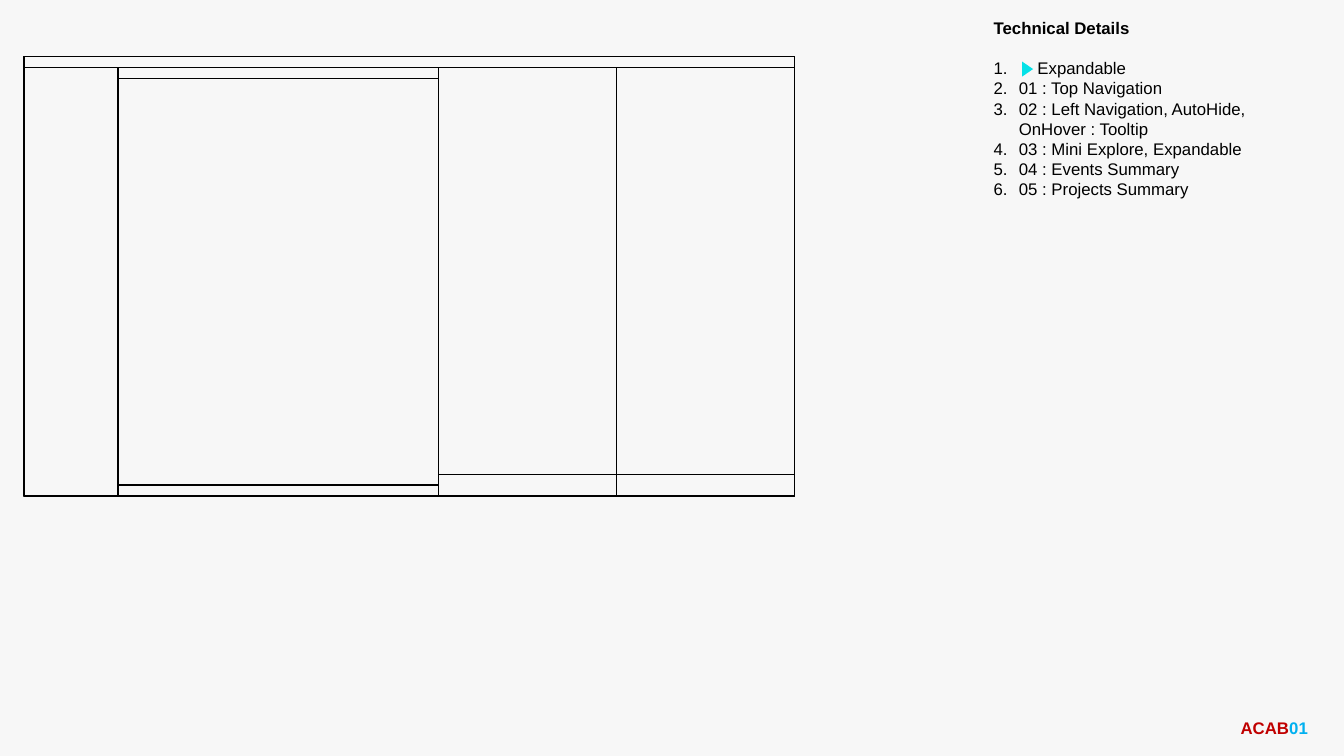
from dataclasses import dataclass

import pptx
import pptx.dml.color
import pptx.enum.shapes
import pptx.enum.text
import pptx.oxml.ns
import pptx.util
from lxml import etree

Pt = pptx.util.Pt
Shapes = pptx.enum.shapes.MSO_SHAPE

FRAME_LEFT, FRAME_TOP, FRAME_BOTTOM = 17.3, 40.3, 354.2
BAR_HEIGHT = 7.8
FOOTER_HEIGHT = 15.2
LIST_INDENT = 18
MARKED_INDENT = 31.3  # leaves room for the expand marker

BLACK = "000000"


@dataclass
class Box:
    left: float
    top: float
    width: float
    height: float


@dataclass
class Panel:
    """A column of the wireframe with optional bars at its ends."""
    width: float
    header: float = 0
    footer: float = 0


@dataclass
class Detail:
    text: str
    indent: float = LIST_INDENT
    space_before: float = 0


PANELS = [
    Panel(66.9),
    Panel(229, header=BAR_HEIGHT, footer=BAR_HEIGHT),
    Panel(127.1, footer=FOOTER_HEIGHT),
    Panel(127.1, footer=FOOTER_HEIGHT),
]

DETAILS = [
    Detail("Expandable", MARKED_INDENT, space_before=14),
    Detail("01 : Top Navigation"),
    Detail("02 : Left Navigation, AutoHide, OnHover : Tooltip"),
    Detail("03 : Mini Explore, Expandable"),
    Detail("04 : Events Summary"),
    Detail("05 : Projects Summary"),
]


def color(value: str) -> pptx.dml.color.RGBColor:
    return pptx.dml.color.RGBColor.from_string(value)


def add_outline(slide, box: Box) -> None:
    shape = slide.shapes.add_shape(
        Shapes.RECTANGLE, Pt(box.left), Pt(box.top), Pt(box.width), Pt(box.height))
    shape.shadow.inherit = False
    shape.fill.background()
    shape.line.color.rgb = color(BLACK)
    shape.line.width = Pt(1)


def add_wireframe(slide) -> None:
    width = sum(panel.width for panel in PANELS)
    panel_top = FRAME_TOP + BAR_HEIGHT
    panel_height = FRAME_BOTTOM - panel_top
    add_outline(slide, Box(FRAME_LEFT, FRAME_TOP, width, FRAME_BOTTOM - FRAME_TOP))
    add_outline(slide, Box(FRAME_LEFT, FRAME_TOP, width, BAR_HEIGHT))
    left = FRAME_LEFT
    for panel in PANELS:
        add_outline(slide, Box(left, panel_top, panel.width, panel_height))
        if panel.header:
            add_outline(slide, Box(left, panel_top, panel.width, panel.header))
        if panel.footer:
            add_outline(slide, Box(left, FRAME_BOTTOM - panel.footer,
                                   panel.width, panel.footer))
        left += panel.width


def add_text_frame(slide, box: Box):
    text_box = slide.shapes.add_textbox(
        Pt(box.left), Pt(box.top), Pt(box.width), Pt(box.height))
    text_frame = text_box.text_frame
    text_frame.word_wrap = True
    text_frame.auto_size = pptx.enum.text.MSO_AUTO_SIZE.SHAPE_TO_FIT_TEXT
    return text_frame


def set_font(paragraph, bold: bool) -> None:
    paragraph.font.name = "Arial"
    paragraph.font.size = Pt(12)
    paragraph.font.bold = bold
    paragraph.font.color.rgb = color(BLACK)


def number(paragraph, indent: float) -> None:
    """Number the paragraph automatically, with a hanging indent."""
    properties = paragraph._p.get_or_add_pPr()
    properties.set("marL", str(Pt(indent)))
    properties.set("indent", str(-Pt(indent)))
    numbering = etree.Element(pptx.oxml.ns.qn("a:buAutoNum"), type="arabicPeriod")
    properties.find(pptx.oxml.ns.qn("a:defRPr")).addprevious(numbering)


def add_details(slide) -> None:
    text_frame = add_text_frame(slide, Box(702.7, 9.4, 249.8, 138.2))
    heading = text_frame.paragraphs[0]
    heading.text = "Technical Details"
    set_font(heading, bold=True)
    for detail in DETAILS:
        paragraph = text_frame.add_paragraph()
        paragraph.text = detail.text
        paragraph.space_before = Pt(detail.space_before)
        set_font(paragraph, bold=False)
        number(paragraph, detail.indent)


def add_expand_marker(slide) -> None:
    marker = slide.shapes.add_shape(
        Shapes.ISOSCELES_TRIANGLE, Pt(728.6), Pt(45.4), Pt(10.8), Pt(7.9))
    marker.rotation = 90
    marker.shadow.inherit = False
    marker.fill.solid()
    marker.fill.fore_color.rgb = color("05E1E7")
    marker.line.fill.background()


def add_slide_code(slide) -> None:
    paragraph = add_text_frame(slide, Box(879.1, 509, 65.5, 21.6)).paragraphs[0]
    set_font(paragraph, bold=True)
    for text, value in (("ACAB", "C00000"), ("01", "00B0F0")):
        run = paragraph.add_run()
        run.text = text
        run.font.color.rgb = color(value)


def main() -> None:
    presentation = pptx.Presentation()
    presentation.slide_width = Pt(960)
    presentation.slide_height = Pt(540)
    slide = presentation.slides.add_slide(presentation.slide_layouts[6])
    slide.background.fill.solid()
    slide.background.fill.fore_color.rgb = color("F7F7F7")
    add_details(slide)
    add_wireframe(slide)
    add_expand_marker(slide)
    add_slide_code(slide)
    presentation.save("out.pptx")


if __name__ == "__main__":
    main()
